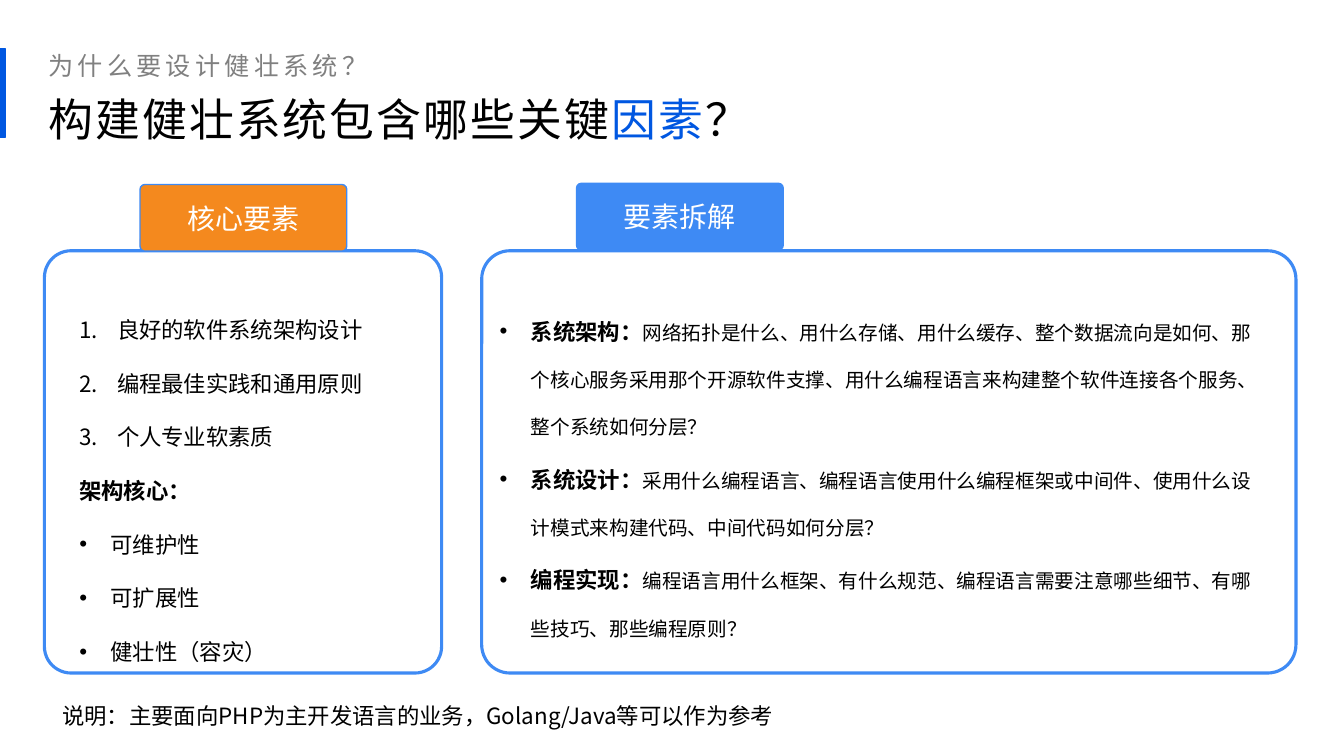
from lxml import etree
from pptx import Presentation
from pptx import util as u
from pptx.dml.color import RGBColor
from pptx.enum import shapes, text
from pptx.oxml.ns import qn

BLACK = RGBColor(0x00, 0x00, 0x00)
WHITE = RGBColor(0xFF, 0xFF, 0xFF)
GRAY = RGBColor(0x80, 0x80, 0x80)
ACCENT = RGBColor(0x00, 0x57, 0xE1)
BLUE = RGBColor(0x3E, 0x8A, 0xF4)
ORANGE = RGBColor(0xF4, 0x89, 0x1E)
CJK = "Noto Sans CJK SC"
LATIN = "Calibri"

RECT = shapes.MSO_SHAPE.RECTANGLE
ROUND = shapes.MSO_SHAPE.ROUNDED_RECTANGLE

FACTORS = ["良好的软件系统架构设计", "编程最佳实践和通用原则", "个人专业软素质"]
QUALITIES = ["可维护性", "可扩展性", "健壮性（容灾）"]
DETAILS = [
    ("系统架构：", "网络拓扑是什么、用什么存储、用什么缓存、整个数据流向是如何、"
     "那个核心服务采用那个开源软件支撑、用什么编程语言来构建整个软件连接各个服务、整个系统如何分层？"),
    ("系统设计：", "采用什么编程语言、编程语言使用什么编程框架或中间件、"
     "使用什么设计模式来构建代码、中间代码如何分层？"),
    ("编程实现：", "编程语言用什么框架、有什么规范、编程语言需要注意哪些细节、"
     "有哪些技巧、那些编程原则？"),
]


def add_run(p, content, size, color=BLACK, bold=False, font=CJK, spacing=0):
    r = p.add_run()
    r.text = content
    r.font.size = u.Pt(size)
    r.font.bold = bold
    r.font.color.rgb = color
    r.font.name = font
    rPr = r.font._element
    ea = etree.Element(qn("a:ea"), typeface=CJK)
    rPr.find(qn("a:latin")).addnext(ea)
    if spacing:
        rPr.set("spc", str(int(spacing * 100)))


def add_bullet(p, indent, numbered=False):
    pPr = p._p.get_or_add_pPr()
    pPr.set("marL", str(u.Cm(indent)))
    pPr.set("indent", str(-u.Cm(indent)))
    if numbered:
        etree.SubElement(pPr, qn("a:buAutoNum"), type="arabicPeriod")
    else:
        etree.SubElement(pPr, qn("a:buFont"), typeface="Arial")
        etree.SubElement(pPr, qn("a:buChar"), char="•")


def add_paragraph(tf, line_spacing):
    first = tf.paragraphs[0]
    p = tf.add_paragraph() if first.runs else first
    p.line_spacing = line_spacing
    return p


def add_box(s, left, top, width, height, grow=True):
    box = s.shapes.add_textbox(u.Cm(left), u.Cm(top), u.Cm(width), u.Cm(height))
    tf = box.text_frame
    tf.word_wrap = True
    if grow:
        tf.auto_size = text.MSO_AUTO_SIZE.SHAPE_TO_FIT_TEXT
    return tf


def add_block(s, kind, left, top, width, height, fill, line, weight, radius=None):
    sp = s.shapes.add_shape(kind, u.Cm(left), u.Cm(top), u.Cm(width), u.Cm(height))
    sp.shadow.inherit = False
    sp.fill.solid()
    sp.fill.fore_color.rgb = fill
    sp.line.color.rgb = line
    sp.line.width = u.Pt(weight)
    if radius is not None:
        sp.adjustments[0] = radius
    return sp


def add_panel(s, left, width):
    add_block(s, ROUND, left, 6.32, width, 10.64, WHITE, BLUE, 2.25, 0.067)


def add_tab(s, left, top, label, fill):
    sp = add_block(s, ROUND, left, top, 5.21, 1.68, fill, BLUE, 1, 0.073)
    tf = sp.text_frame
    tf.vertical_anchor = text.MSO_ANCHOR.MIDDLE
    p = tf.paragraphs[0]
    p.alignment = text.PP_ALIGN.CENTER
    add_run(p, label, 20, WHITE, font=LATIN)


def add_heading(s):
    add_block(s, RECT, 0, 1.22, 0.13, 2.24, ACCENT, ACCENT, 1)
    tf = add_box(s, 0.97, 2.03, 31.32, 1.68, grow=False)
    tf.margin_top = 0
    p = add_paragraph(tf, 1.2)
    for part, color in [("构建健壮系统包含哪些关键", BLACK), ("因素", ACCENT), ("？", BLACK)]:
        add_run(p, part, 32, color, spacing=1.5)
    tf = add_box(s, 0.97, 0.81, 26.62, 1.22, grow=False)
    tf.margin_bottom = 0
    tf.vertical_anchor = text.MSO_ANCHOR.BOTTOM
    add_run(add_paragraph(tf, 1.2), "为什么要设计健壮系统？", 18, GRAY, spacing=3)


def add_factors(s):
    tf = add_box(s, 1.75, 7.16, 8.18, 11.2)
    for factor in FACTORS:
        p = add_paragraph(tf, 2.0)
        add_bullet(p, 0.95, numbered=True)
        add_run(p, factor, 16)
    add_run(add_paragraph(tf, 2.0), "架构核心：", 16, bold=True)
    for quality in QUALITIES:
        p = add_paragraph(tf, 2.0)
        add_bullet(p, 0.79)
        add_run(p, quality, 16)


def add_details(s):
    tf = add_box(s, 12.34, 7.21, 19.53, 9.14)
    for topic, questions in DETAILS:
        p = add_paragraph(tf, 2.0)
        add_bullet(p, 0.79)
        add_run(p, topic, 16, bold=True)
        add_run(p, questions, 14)


def main():
    prs = Presentation()
    prs.slide_width = u.Cm(33.87)
    prs.slide_height = u.Cm(19.05)
    s = prs.slides.add_slide(prs.slide_layouts[6])
    add_heading(s)
    add_panel(s, 12.14, 20.52)
    add_panel(s, 1.12, 10.01)
    add_tab(s, 3.53, 4.65, "核心要素", ORANGE)
    add_tab(s, 14.53, 4.62, "要素拆解", BLUE)
    add_factors(s)
    add_details(s)
    note = add_box(s, 1.32, 17.58, 21.18, 0.94)
    add_run(note.paragraphs[0], "说明：主要面向PHP为主开发语言的业务，Golang/Java等可以作为参考", 16)
    prs.save("out.pptx")


if __name__ == "__main__":
    main()
